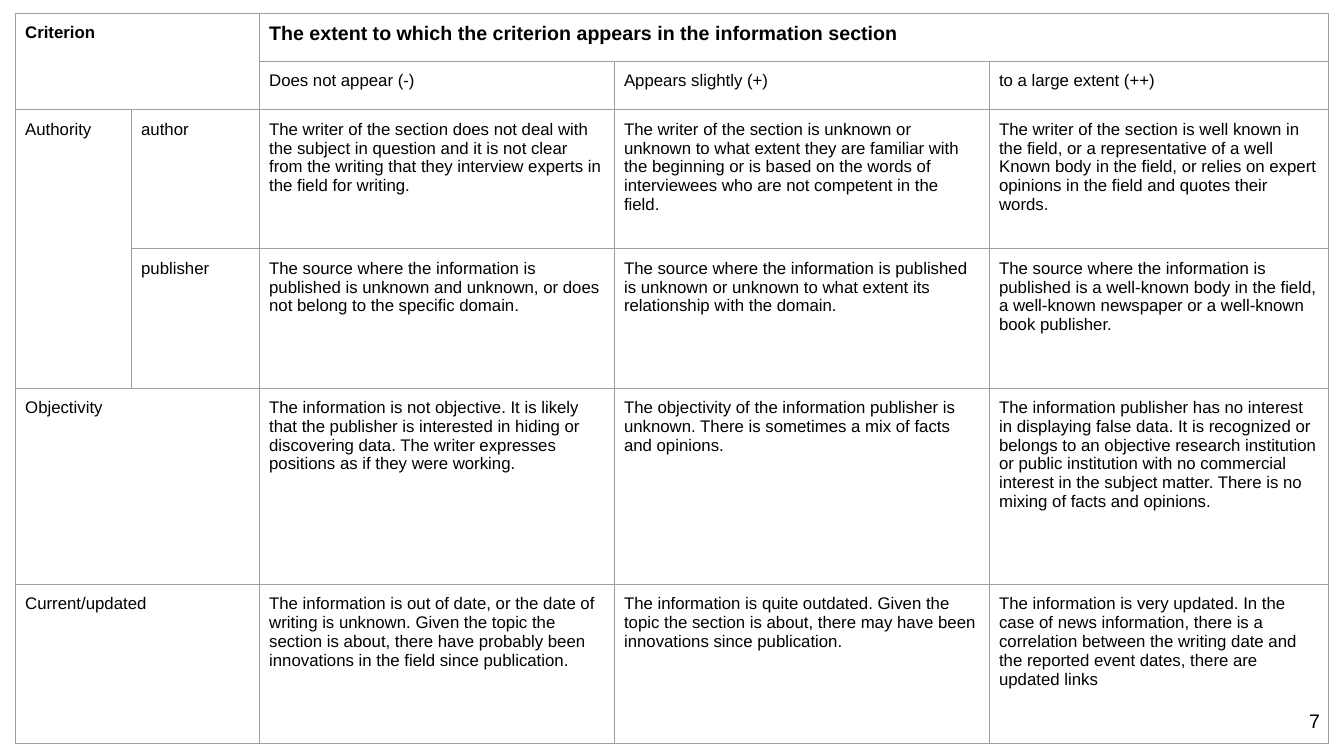
from pptx import Presentation
from pptx.dml.color import RGBColor
from pptx.enum.text import MSO_ANCHOR, PP_ALIGN
from pptx.oxml import parse_xml
from pptx.oxml.ns import nsdecls
from pptx.util import Inches, Pt

BLACK = RGBColor(0x00, 0x00, 0x00)
WHITE = RGBColor(0xFF, 0xFF, 0xFF)
GREY = RGBColor(0x9E, 0x9E, 0x9E)

# Content: None marks a cell covered by a merge
ROWS = [
    ["Criterion", None,
     "The extent to which the criterion appears in the information section", None, None],
    [None, None, "Does not appear (-)", "Appears slightly (+)", "to a large extent (++)"],
    ["Authority", "author",
     "The writer of the section does not deal with the subject in question and it is not "
     "clear from the writing that they interview experts in the field for writing.",
     "The writer of the section is unknown or unknown to what extent they are familiar with "
     "the beginning or is based on the words of interviewees who are not competent in the field.",
     "The writer of the section is well known in the field, or a representative of a well "
     "Known body in the field, or relies on expert opinions in the field and quotes their words."],
    [None, "publisher",
     "The source where the information is published is unknown and unknown, or does not "
     "belong to the specific domain.",
     "The source where the information is published is unknown or unknown to what extent "
     "its relationship with the domain.",
     "The source where the information is published is a well-known body in the field, "
     "a well-known newspaper or a well-known book publisher."],
    ["Objectivity", None,
     "The information is not objective. It is likely that the publisher is interested in "
     "hiding or discovering data. The writer expresses positions as if they were working.",
     "The objectivity of the information publisher is unknown. There is sometimes a mix of "
     "facts and opinions.",
     "The information publisher has no interest in displaying false data. It is recognized "
     "or belongs to an objective research institution or public institution with no commercial "
     "interest in the subject matter. There is no mixing of facts and opinions."],
    ["Current/updated", None,
     "The information is out of date, or the date of writing is unknown. Given the topic the "
     "section is about, there have probably been innovations in the field since publication.",
     "The information is quite outdated. Given the topic the section is about, there may have "
     "been innovations since publication.",
     "The information is very updated. In the case of news information, there is a correlation "
     "between the writing date and the reported event dates, there are updated links"],
]
WIDTHS = [1.15, 1.27, 3.52, 3.72, 3.37]
HEIGHTS = [0.48, 0.48, 1.38, 1.38, 1.95, 1.58]
# First and last cell of each merge, as (row, column)
MERGES = [((0, 0), (1, 1)), ((0, 2), (0, 4)), ((2, 0), (3, 0)),
          ((4, 0), (4, 1)), ((5, 0), (5, 1))]
PAGE = "7"


def write(frame, text, size=12, bold=False, align=PP_ALIGN.LEFT):
    para = frame.paragraphs[0]
    para.alignment = align
    run = para.add_run()
    run.text = text
    font = run.font
    font.name, font.size, font.bold = "Arial", Pt(size), bold
    font.color.rgb = BLACK


def border(cell):
    props = cell._tc.get_or_add_tcPr()
    for side in "LRTB":
        props.append(parse_xml(
            f'<a:ln{side} {nsdecls("a")} w="{Pt(0.75)}"><a:solidFill>'
            f'<a:srgbClr val="{GREY}"/></a:solidFill></a:ln{side}>'))


def main():
    deck = Presentation()
    deck.slide_width, deck.slide_height = Inches(13.33), Inches(7.5)
    slide = deck.slides.add_slide(deck.slide_layouts[6])

    # Criteria table
    grid = slide.shapes.add_table(
        len(HEIGHTS), len(WIDTHS), Inches(0.15), Inches(0.13),
        Inches(sum(WIDTHS)), Inches(sum(HEIGHTS))).table
    grid.first_row = grid.horz_banding = False
    for col, width in zip(grid.columns, WIDTHS):
        col.width = Inches(width)
    for row, height in zip(grid.rows, HEIGHTS):
        row.height = Inches(height)
    for first, last in MERGES:
        grid.cell(*first).merge(grid.cell(*last))

    for r, texts in enumerate(ROWS):
        for c, text in enumerate(texts):
            cell = grid.cell(r, c)
            border(cell)
            cell.fill.solid()
            cell.fill.fore_color.rgb = WHITE
            cell.margin_left = cell.margin_right = Inches(0.1)
            cell.margin_top = cell.margin_bottom = Inches(0.1)
            if text:
                write(cell.text_frame, text, size=14 if (r, c) == (0, 2) else 12,
                      bold=r == 0)

    # Page number
    box = slide.shapes.add_textbox(Inches(10.19), Inches(6.95), Inches(3), Inches(0.4))
    frame = box.text_frame
    frame.word_wrap = True
    frame.vertical_anchor = MSO_ANCHOR.MIDDLE
    write(frame, PAGE, size=14, align=PP_ALIGN.RIGHT)

    deck.save("out.pptx")


if __name__ == "__main__":
    main()
